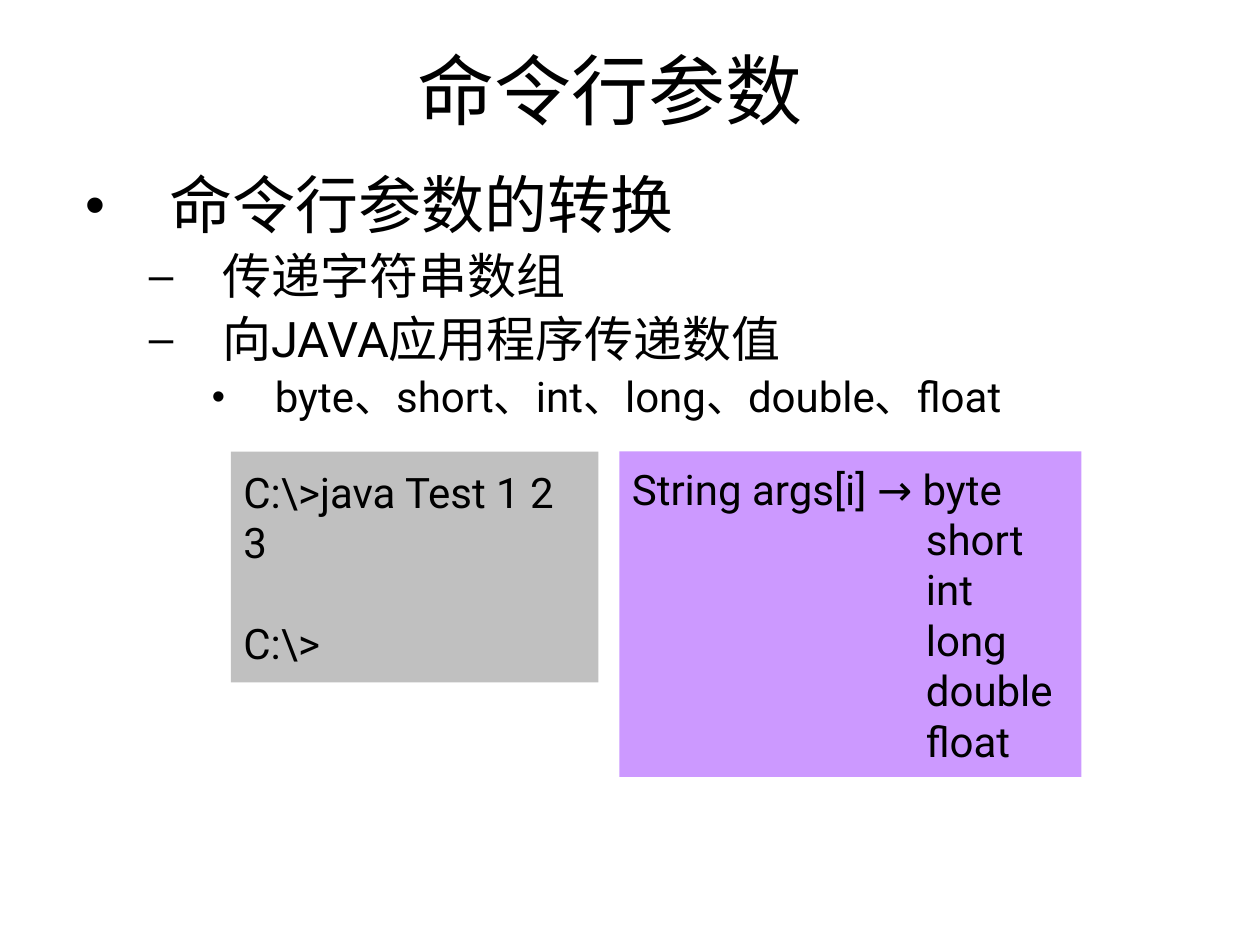
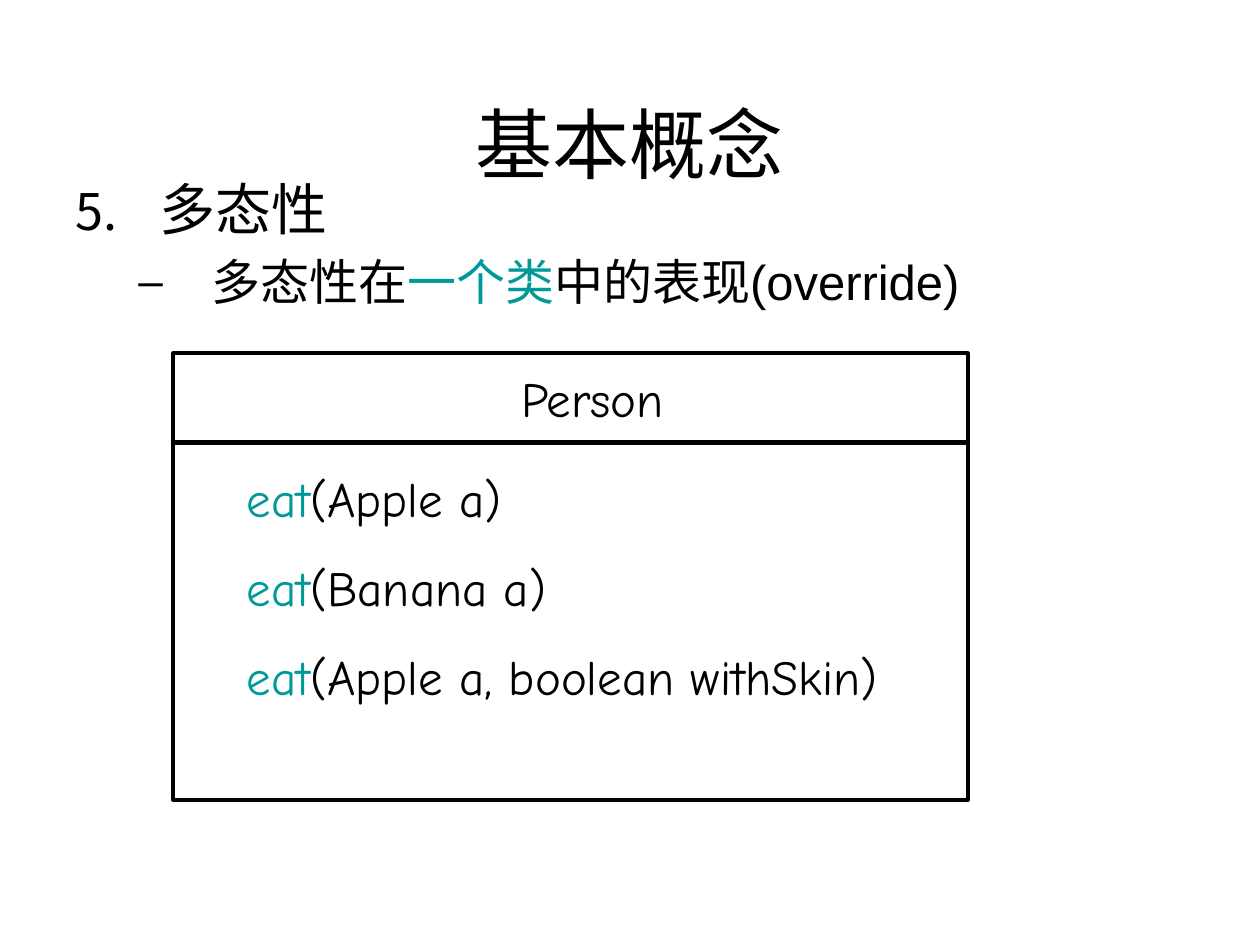
from dataclasses import dataclass

from lxml.etree import SubElement
from pptx import Presentation
from pptx.dml.color import RGBColor
from pptx.enum.shapes import MSO_CONNECTOR as Connector, MSO_SHAPE as Shape
from pptx.enum.text import MSO_ANCHOR as Anchor, PP_ALIGN as Align
from pptx.oxml.ns import qn
from pptx.util import Pt


@dataclass(frozen=True)
class Theme:
    ink: RGBColor = RGBColor(0, 0, 0)
    accent: RGBColor = RGBColor(0x00, 0x99, 0x99)
    console: RGBColor = RGBColor(0xC0, 0xC0, 0xC0)
    conversion: RGBColor = RGBColor(0xCC, 0x99, 0xFF)
    heading_font: str = "Arial"
    body_font: str = "Roboto"
    uml_font: str = "Comic Neue"
    title_size: int = 44
    item_size: int = 28
    code_size: int = 24


THEME = Theme()
# Left margin and hanging indent of each outline level, in points
LEVELS = [(48, -48), (78, -42), (108, -36)]


def set_indent(paragraph, margin, hanging=0):
    properties = paragraph._p.get_or_add_pPr()
    properties.set("marL", str(Pt(margin)))
    properties.set("indent", str(Pt(hanging)))


def set_font(paragraph, name, size):
    font = paragraph.font
    font.name, font.size = name, Pt(size)
    font.color.rgb = THEME.ink


def write(paragraph, text):
    """Add the text; parts between asterisks take the accent colour."""
    for index, part in enumerate(text.split("*")):
        if part:
            run = paragraph.add_run()
            run.text = part
            if index % 2:
                run.font.color.rgb = THEME.accent


def next_paragraph(frame, index):
    return frame.add_paragraph() if index else frame.paragraphs[0]


def add_text_frame(slide, box, anchor=Anchor.TOP, side_inset=7.2):
    frame = slide.shapes.add_textbox(*map(Pt, box)).text_frame
    frame.word_wrap = True
    frame.vertical_anchor = anchor
    frame.margin_left = frame.margin_right = Pt(side_inset)
    return frame


def add_title(slide, text, box, anchor):
    title = add_text_frame(slide, box, anchor).paragraphs[0]
    title.alignment = Align.CENTER
    write(title, text)
    set_font(title, THEME.heading_font, THEME.title_size)


def add_bullet(paragraph, bullet):
    """A number starts automatic numbering; a string is the bullet itself."""
    properties = paragraph._p.get_or_add_pPr()
    SubElement(properties, qn("a:buSzPct"), val="90000")
    if isinstance(bullet, int):
        SubElement(properties, qn("a:buAutoNum"), type="arabicPeriod", startAt=str(bullet))
    else:
        SubElement(properties, qn("a:buFont"), typeface=THEME.heading_font)
        SubElement(properties, qn("a:buChar"), char=bullet)


def add_outline(slide, box, items, line_spacing=1.0):
    """Items are (level, bullet, text, font, size)."""
    frame = add_text_frame(slide, box)
    for index, (level, bullet, text, font, size) in enumerate(items):
        item = next_paragraph(frame, index)
        item.level = level
        set_indent(item, *LEVELS[level])
        add_bullet(item, bullet)
        item.line_spacing = line_spacing
        if index:
            item.space_before = Pt(0.2 * size)
        write(item, text)
        set_font(item, font, size)


def add_rectangle(slide, box, fill=None, line_width=None):
    rectangle = slide.shapes.add_shape(Shape.RECTANGLE, *map(Pt, box))
    rectangle.shadow.inherit = False
    if fill is None:
        rectangle.fill.background()
    else:
        rectangle.fill.solid()
        rectangle.fill.fore_color.rgb = fill
    if line_width is None:
        rectangle.line.fill.background()
    else:
        rectangle.line.color.rgb = THEME.ink
        rectangle.line.width = Pt(line_width)
    return rectangle


def add_code_panel(slide, box, fill, lines):
    """Lines are (text, left margin, space before)."""
    frame = add_rectangle(slide, box, fill).text_frame
    frame.word_wrap = True
    frame.vertical_anchor = Anchor.MIDDLE
    for index, (text, margin, gap) in enumerate(lines):
        line = next_paragraph(frame, index)
        line.alignment = Align.LEFT
        set_indent(line, margin)
        if gap:
            line.space_before = Pt(gap)
        write(line, text)
        set_font(line, THEME.body_font, THEME.code_size)


def add_uml_label(slide, text, box, align=Align.LEFT):
    label = add_text_frame(slide, box, side_inset=0).paragraphs[0]
    label.alignment = align
    set_indent(label, *LEVELS[1])
    write(label, text)
    set_font(label, THEME.uml_font, THEME.item_size)


def add_rule(slide, left, right, y, width):
    rule = slide.shapes.add_connector(Connector.STRAIGHT, Pt(left), Pt(y), Pt(right), Pt(y))
    rule.line.color.rgb = THEME.ink
    rule.line.width = Pt(width)
    SubElement(rule._element.spPr, qn("a:effectLst"))


def add_class_diagram(slide, name, methods):
    left, top, width, height = 99, 202, 454, 255
    add_rectangle(slide, (left, top, width, height), line_width=2.25)
    add_uml_label(slide, name, (230, 207, 181, 41), Align.CENTER)
    add_rule(slide, left, left + width, 253, 3)
    for row, (method, method_width) in enumerate(methods):
        add_uml_label(slide, method, (105, 264 + 51 * row, method_width, 41))


def build_arguments_slide(slide):
    heading, body, size = THEME.heading_font, THEME.body_font, THEME.item_size
    add_title(slide, "命令行参数", (42, 18, 613, 66), Anchor.MIDDLE)
    add_outline(slide, (42, 96, 624, 162), [
        (0, "•", "命令行参数的转换", heading, 36),
        (1, "–", "传递字符串数组", body, size),
        (1, "–", "向JAVA应用程序传递数值", body, size),
        (2, "•", "byte、short、int、long、double、float", body, THEME.code_size),
    ], line_spacing=0.9)
    add_code_panel(slide, (132, 258, 210, 132), THEME.console, [
        (r"C:\>java Test 1 2", 0, 0), ("3", 0, 0), (r"C:\>", 0, 28.5)])
    targets = ["short", "int", "long", "double", "float"]
    add_code_panel(slide, (354, 258, 264, 186), THEME.conversion, [
        ("String args[i] → byte", 0, 0), *((target, 168, 0) for target in targets)])


def build_polymorphism_slide(slide):
    heading = THEME.heading_font
    add_outline(slide, (36, 96, 669, 96), [
        (0, 5, "多态性", heading, 32),
        (1, "–", "多态性在*一个类*中的表现(override)", heading, THEME.item_size),
    ])
    add_title(slide, "基本概念", (36, 21.6, 648, 90), Anchor.BOTTOM)
    add_class_diagram(slide, "Person", [
        ("*eat*(Apple a)", 187),
        ("*eat*(Banana a)", 306),
        ("*eat*(Apple a, boolean withSkin)", 431),
    ])


def main():
    deck = Presentation()
    deck.slide_width, deck.slide_height = Pt(720), Pt(540)
    blank = deck.slide_layouts[6]
    for build in (build_arguments_slide, build_polymorphism_slide):
        build(deck.slides.add_slide(blank))
    deck.save("out.pptx")


if __name__ == "__main__":
    main()
